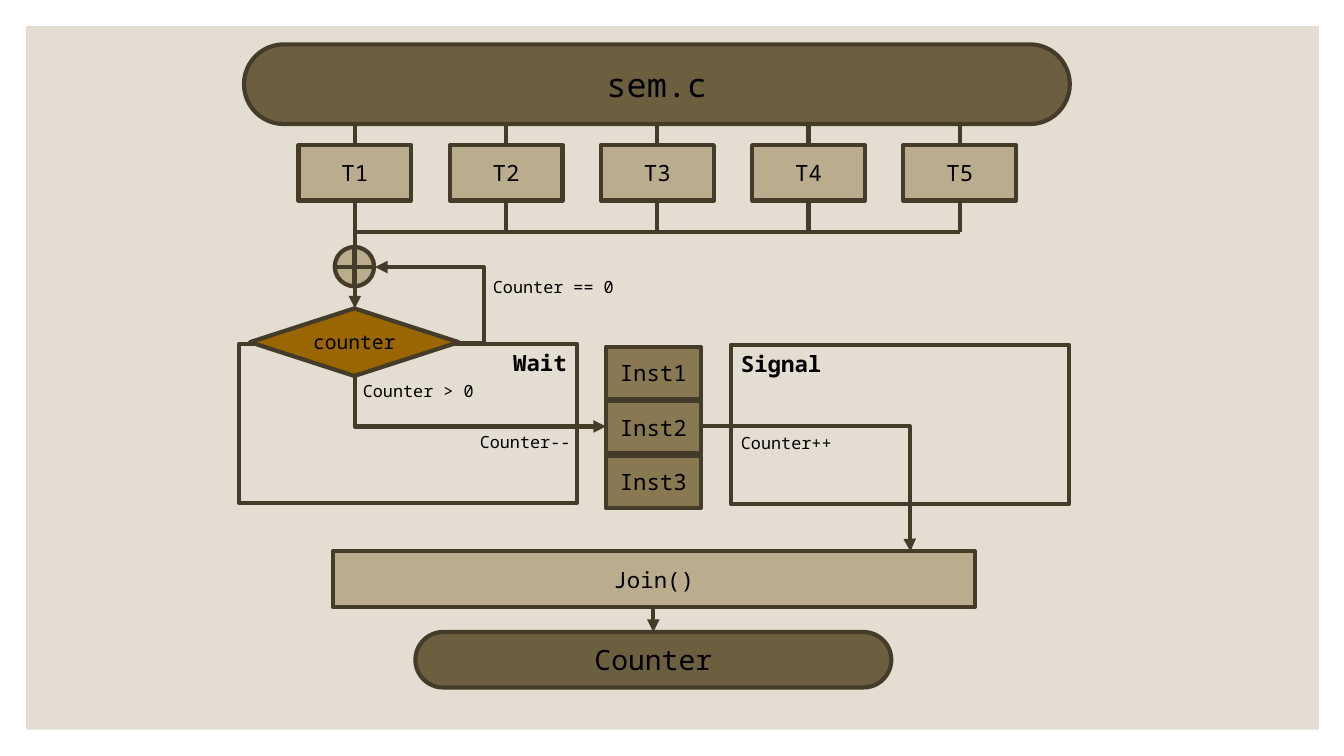
"""Build a flowchart slide of five threads sharing a counting semaphore."""
from dataclasses import dataclass
from typing import Optional

from lxml.etree import SubElement
from pptx import Presentation
from pptx.dml.color import RGBColor
from pptx.enum.shapes import MSO_CONNECTOR, MSO_SHAPE
from pptx.enum.text import MSO_ANCHOR, PP_ALIGN
from pptx.oxml.ns import qn
from pptx.slide import Slide
from pptx.text.text import TextFrame
from pptx.util import Inches, Pt

CELL = 0.1
FONT = "Noto Sans Mono"
LINE_WIDTH = Pt(3)
COLORS = {
    "panel": "E3DED1",
    "terminal": "6C5F40",
    "step": "BAAD8D",
    "instruction": "887952",
    "decision": "996600",
    "outline": "443C29",
    "text": "000000",
}


@dataclass(frozen=True)
class Node:
    column: float
    row: float
    columns: float
    rows: float
    text: str = ""
    size: int = 16
    fill: Optional[str] = None
    shape: MSO_SHAPE = MSO_SHAPE.RECTANGLE
    outline: Optional[str] = "outline"
    bold: bool = False
    align: PP_ALIGN = PP_ALIGN.CENTER
    anchor: MSO_ANCHOR = MSO_ANCHOR.MIDDLE


@dataclass(frozen=True)
class Link:
    start: tuple[float, float]
    end: tuple[float, float]
    arrow: bool = False
    bend: Optional[float] = None


@dataclass(frozen=True)
class Label:
    column: float
    row: float
    text: str
    columns: float = 13.5
    rows: float = 3


def grid(cells: float) -> Inches:
    """Convert grid cells to a length."""
    return Inches(cells * CELL)


def color(name: str) -> RGBColor:
    """Look up a named colour."""
    return RGBColor.from_string(COLORS[name])


def write(frame: TextFrame, text: str, size: int, align: PP_ALIGN,
          anchor: MSO_ANCHOR, bold: bool = False) -> None:
    """Fill a text frame with one formatted paragraph."""
    frame.word_wrap = True
    frame.vertical_anchor = anchor
    paragraph = frame.paragraphs[0]
    paragraph.text = text
    paragraph.alignment = align
    paragraph.font.name = FONT
    paragraph.font.size = Pt(size)
    paragraph.font.bold = bold
    paragraph.font.color.rgb = color("text")


def draw_node(slide: Slide, node: Node) -> None:
    """Draw one flowchart shape."""
    shape = slide.shapes.add_shape(node.shape, grid(node.column), grid(node.row),
                                   grid(node.columns), grid(node.rows))
    shape.shadow.inherit = False
    if node.shape == MSO_SHAPE.ROUNDED_RECTANGLE:
        shape.adjustments[0] = 0.5
    if node.fill:
        shape.fill.solid()
        shape.fill.fore_color.rgb = color(node.fill)
    else:
        shape.fill.background()
    if node.outline:
        shape.line.color.rgb = color(node.outline)
        shape.line.width = LINE_WIDTH
    else:
        shape.line.fill.background()
    if node.text:
        write(shape.text_frame, node.text, node.size, node.align, node.anchor, node.bold)


def draw_link(slide: Slide, link: Link) -> None:
    """Draw a straight or bent connector."""
    kind = MSO_CONNECTOR.STRAIGHT if link.bend is None else MSO_CONNECTOR.ELBOW
    connector = slide.shapes.add_connector(kind, *map(grid, link.start + link.end))
    connector.line.color.rgb = color("outline")
    connector.line.width = LINE_WIDTH
    properties = connector.element.spPr
    if link.arrow:
        SubElement(properties.find(qn("a:ln")), qn("a:tailEnd"), type="triangle")
    if link.bend is not None:
        geometry = properties.find(qn("a:prstGeom"))
        guides = geometry.find(qn("a:avLst"))
        if guides is None:
            guides = SubElement(geometry, qn("a:avLst"))
        SubElement(guides, qn("a:gd"), name="adj1", fmla=f"val {round(link.bend * 100000)}")
    SubElement(properties, qn("a:effectLst"))


def draw_label(slide: Slide, label: Label) -> None:
    """Draw a caption beside a connector."""
    box = slide.shapes.add_textbox(grid(label.column), grid(label.row),
                                   grid(label.columns), grid(label.rows))
    write(box.text_frame, label.text, 12, PP_ALIGN.LEFT, MSO_ANCHOR.TOP)


THREADS = [Node(29.6 + 15 * index, 14.4, 11.2, 5.5, f"T{index + 1}", fill="step")
           for index in range(5)]
INSTRUCTIONS = [Node(60.1, 34.4 + 5.4 * index, 9.4, 5.2, f"Inst{index + 1}", fill="instruction")
                for index in range(3)]
NODES = [
    Node(2.6, 2.6, 128.2, 69.8, fill="panel", outline=None),
    Node(24.2, 4.4, 81.9, 7.9, "sem.c", 24, "terminal", MSO_SHAPE.ROUNDED_RECTANGLE),
    Node(33, 54.7, 63.7, 5.5, "Join()", fill="step"),
    Node(41.2, 62.7, 47.2, 5.5, "Counter", 20, "terminal", MSO_SHAPE.ROUNDED_RECTANGLE),
    Node(23.7, 34.1, 33.5, 15.8, "Wait", bold=True,
         align=PP_ALIGN.RIGHT, anchor=MSO_ANCHOR.TOP),
    Node(72.5, 34.2, 33.5, 15.8, "Signal", bold=True,
         align=PP_ALIGN.LEFT, anchor=MSO_ANCHOR.TOP),
    *THREADS,
    *INSTRUCTIONS,
    Node(24.8, 30.6, 20.7, 6.7, "counter", 14, "decision", MSO_SHAPE.DIAMOND),
]
JUNCTION = Node(33.2, 24.5, 3.9, 3.9, fill="step", shape=MSO_SHAPE.FLOWCHART_OR)

BUS_ROW = 23
CENTERS = [thread.column + thread.columns / 2 for thread in THREADS]
LINKS = [
    *(Link((center, 12.3), (center, 14.4)) for center in CENTERS),
    *(Link((center, 19.9), (center, BUS_ROW)) for center in CENTERS),
    Link((CENTERS[-1], BUS_ROW), (35, BUS_ROW)),
    Link((CENTERS[0], 19.9), (CENTERS[0], 30.6), arrow=True),
    Link((64.8, 60.2), (64.8, 62.7), arrow=True),
    Link((45.5, 34), (37.2, 26.5), arrow=True, bend=-0.3),
    Link((CENTERS[0], 37.4), (60.1, 42.3), arrow=True, bend=0),
    Link((69.6, 42.3), (90.3, 54.7), arrow=True, bend=0.997),
]
LABELS = [
    Label(47.9, 27, "Counter == 0", 14.2),
    Label(35, 37.3, "Counter > 0"),
    Label(46.6, 42.3, "Counter--"),
    Label(72.5, 42.4, "Counter++"),
]


def main() -> None:
    """Create and save the presentation."""
    presentation = Presentation()
    presentation.slide_width = Inches(13.33)
    presentation.slide_height = Inches(7.5)
    slide = presentation.slides.add_slide(presentation.slide_layouts[6])
    for node in NODES:
        draw_node(slide, node)
    for link in LINKS:
        draw_link(slide, link)
    draw_node(slide, JUNCTION)
    for label in LABELS:
        draw_label(slide, label)
    presentation.save("out.pptx")


if __name__ == "__main__":
    main()
